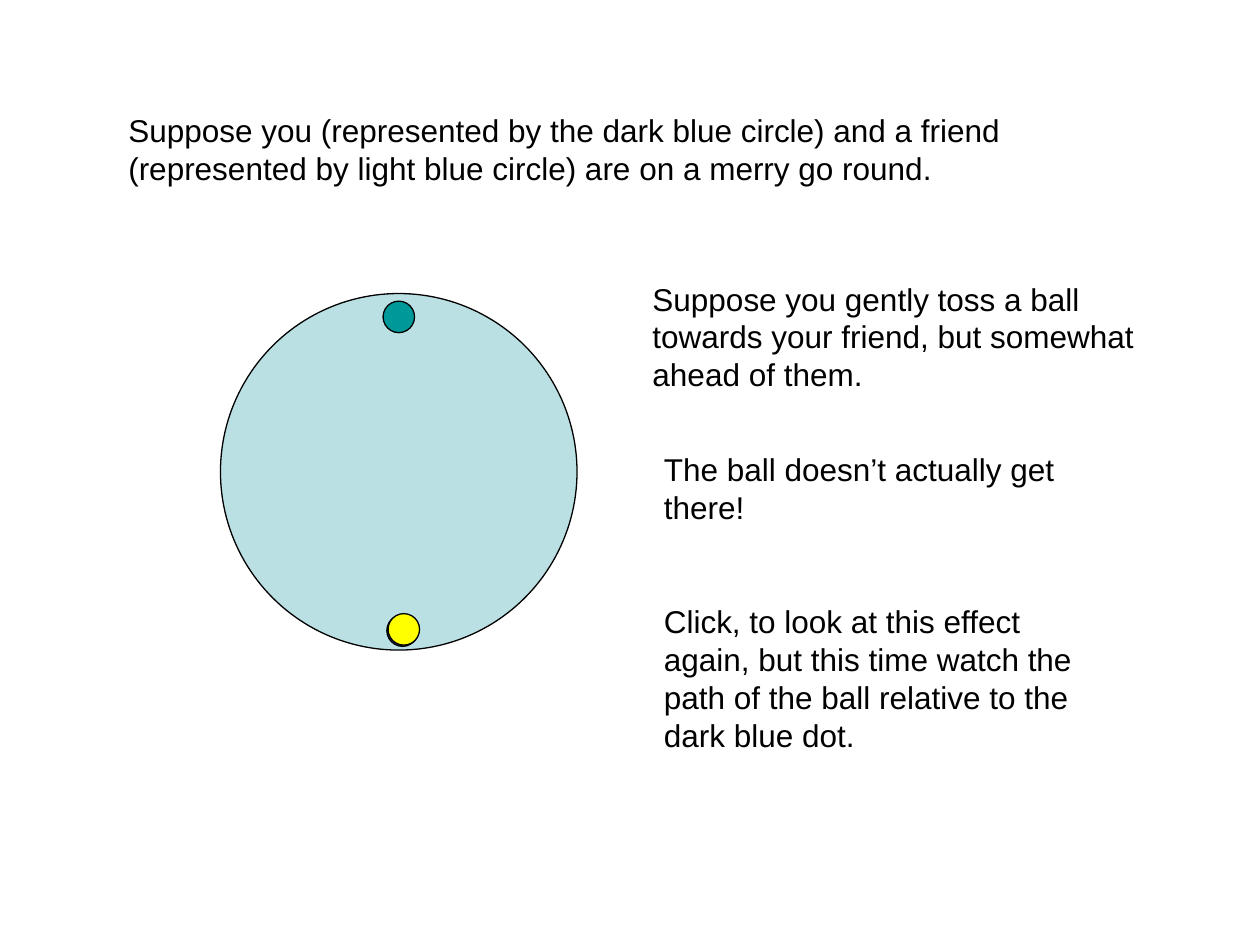
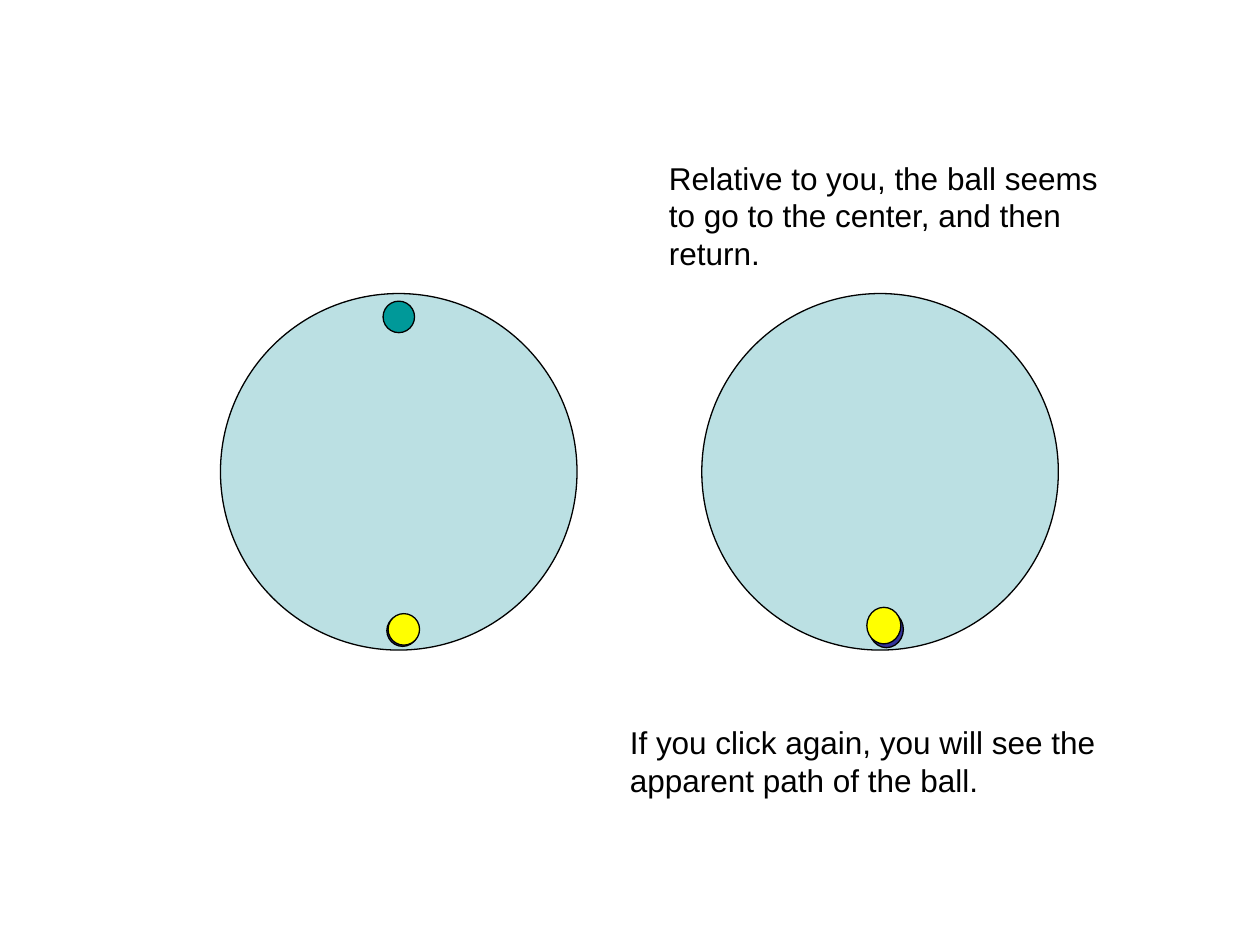
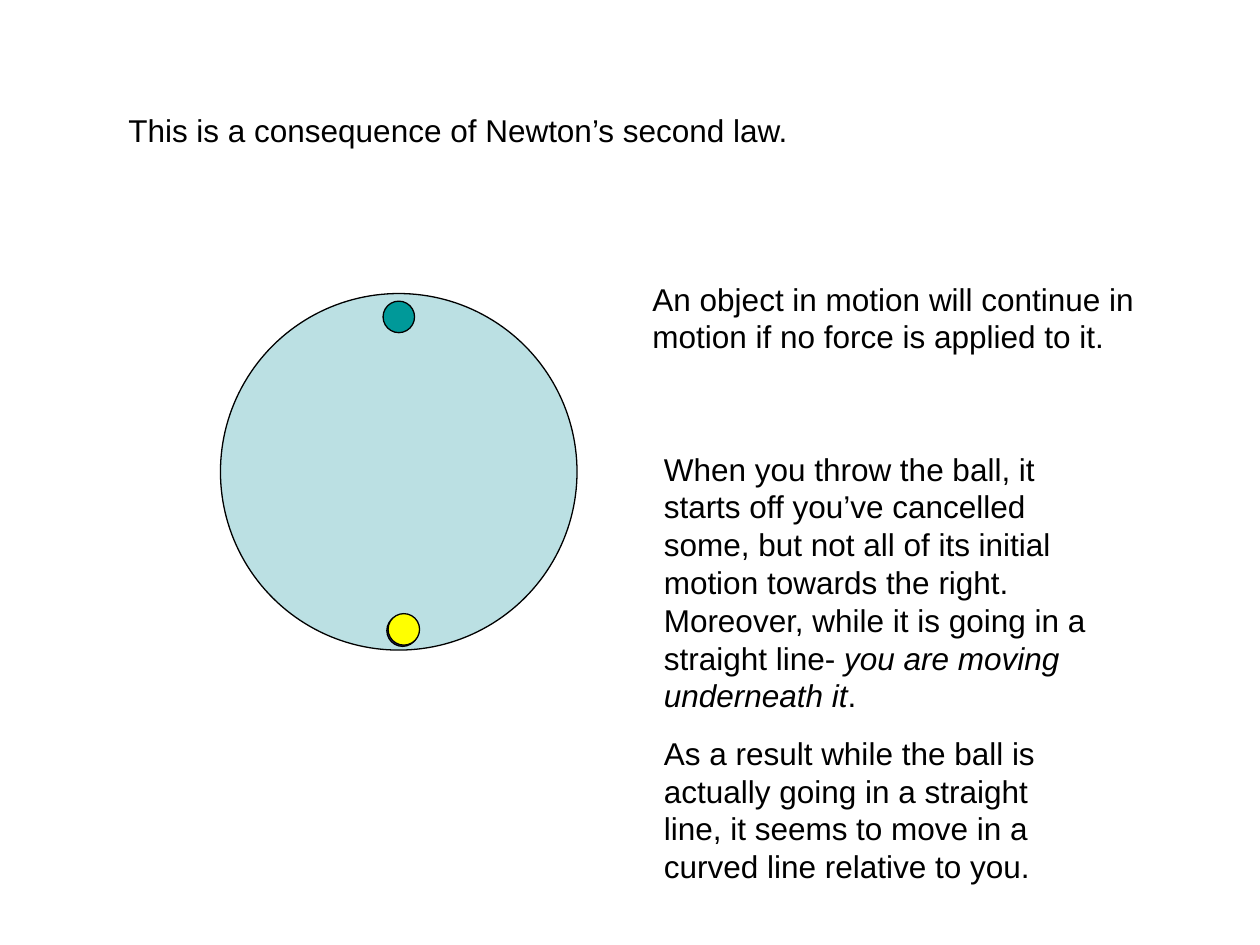
"""Build three slides about tossing a ball on a merry-go-round."""
from dataclasses import dataclass

from pptx import Presentation
from pptx import util as u
from pptx.dml.color import RGBColor
from pptx.enum import shapes, text

PX = u.Inches(1) // 100


@dataclass(frozen=True)
class Theme:
    """Colours, type and spacing shared by every slide."""

    ride: str = "BBE0E3"
    friend: str = "009999"
    you: str = "333399"
    ball: str = "FFFF00"
    ink: str = "000000"
    font: str = "Arial"
    size: float = 18
    leading: float = 21.6
    gap: float = 11.2
    wide_gap: float = 44
    outline: float = 0.75


THEME = Theme()
STATEMENT = (92, 83, 825)
REMARK = (508, 217, 442)
EXPLANATION = (517, 352, 358)


def apply(target, values):
    """Set each named attribute of the target."""
    for name, value in values.items():
        setattr(target, name, value)


def add_disc(slide, colour, left, top, width, height):
    """Add an outlined disc."""
    disc = slide.shapes.add_shape(
        shapes.MSO_SHAPE.OVAL, *(n * PX for n in (left, top, width, height)))
    disc.shadow.inherit = False
    disc.fill.solid()
    disc.fill.fore_color.rgb = RGBColor.from_string(colour)
    disc.line.color.rgb = RGBColor.from_string(THEME.ink)
    disc.line.width = u.Pt(THEME.outline)


def add_ride(slide):
    """Add the merry-go-round with the friend, you and the ball."""
    add_disc(slide, THEME.ride, 175, 233, 283, 283)
    add_disc(slide, THEME.friend, 304, 239, 25, 25)
    add_disc(slide, THEME.you, 307, 488, 25, 25)
    add_disc(slide, THEME.ball, 308, 487, 25, 25)


def add_relative_ride(slide):
    """Add the merry-go-round as you see it, with you and the ball."""
    add_disc(slide, THEME.ride, 557, 233, 283, 283)
    add_disc(slide, THEME.you, 690, 485, 27, 29)
    add_disc(slide, THEME.ball, 688, 482, 27, 29)


def add_words(slide, place, height, *paragraphs, gap=THEME.gap):
    """Add paragraphs, each a string or a list of (words, italic) pairs."""
    box = slide.shapes.add_textbox(*(n * PX for n in (*place, height)))
    frame = box.text_frame
    apply(frame, {"word_wrap": True,
                  "auto_size": text.MSO_AUTO_SIZE.SHAPE_TO_FIT_TEXT})
    for index, content in enumerate(paragraphs):
        paragraph = frame.add_paragraph() if index else frame.paragraphs[0]
        apply(paragraph, {"line_spacing": u.Pt(THEME.leading),
                          "space_before": u.Pt(gap if index else 0)})
        pieces = [(content, False)] if isinstance(content, str) else content
        for words, italic in pieces:
            run = paragraph.add_run()
            run.text = words
            apply(run.font, {"name": THEME.font, "size": u.Pt(THEME.size),
                             "italic": italic})
            run.font.color.rgb = RGBColor.from_string(THEME.ink)


def build_toss(slide):
    """Introduce the toss between you and a friend."""
    add_ride(slide)
    add_words(slide, STATEMENT, 70,
              "Suppose you (represented by the dark blue circle) and a friend "
              "(represented by light blue circle) are on a merry go round.")
    add_words(slide, REMARK, 100,
              "Suppose you gently toss a ball towards your friend, "
              "but somewhat ahead of them.")
    add_words(slide, EXPLANATION, 252,
              "The ball doesn’t actually get there!",
              "Click, to look at this effect again, but this time watch the "
              "path of the ball relative to the dark blue dot.",
              gap=THEME.wide_gap)


def build_relative_path(slide):
    """Compare the ride with the view from your seat."""
    add_ride(slide)
    add_relative_ride(slide)
    add_words(slide, (521, 121, 375), 100,
              "Relative to you, the ball seems to go to the center, "
              "and then return.")
    add_words(slide, (490, 569, 398), 70,
              "If you click again, you will see the apparent path of the ball.")


def build_second_law(slide):
    """Explain the curved path by the law of motion."""
    add_ride(slide)
    add_words(slide, STATEMENT, 40,
              "This is a consequence of Newton’s second law.")
    add_words(slide, REMARK, 70,
              "An object in motion will continue in motion if no force "
              "is applied to it.")
    add_words(slide, EXPLANATION, 356,
              [("When you throw the ball, it starts off you’ve cancelled some, "
                "but not all of its initial motion towards the right. "
                "Moreover, while it is going in a straight line- ", False),
               ("you are moving underneath it", True),
               (".", False)],
              "As a result while the ball is actually going in a straight "
              "line, it seems to move in a curved line relative to you.")


def main():
    """Build and save the presentation."""
    deck = Presentation()
    apply(deck, {"slide_width": 1000 * PX, "slide_height": 750 * PX})
    blank = deck.slide_layouts.get_by_name("Blank")
    for build in (build_toss, build_relative_path, build_second_law):
        build(deck.slides.add_slide(blank))
    deck.save("out.pptx")


if __name__ == "__main__":
    main()
